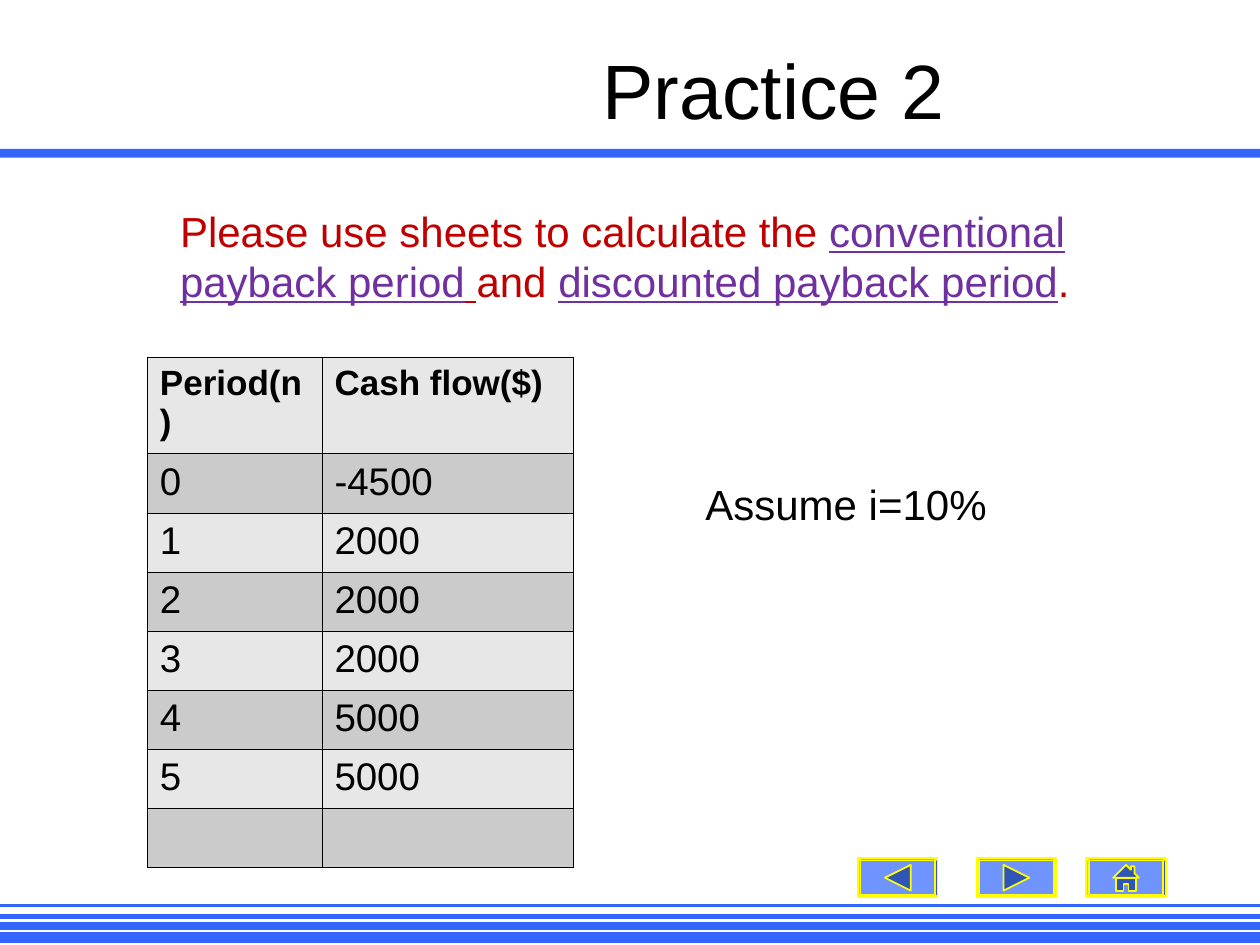
from lxml import etree
from pptx import Presentation
from pptx.dml.color import RGBColor
from pptx.enum.shapes import MSO_CONNECTOR, MSO_SHAPE
from pptx.enum.text import MSO_ANCHOR as ANCHOR, PP_ALIGN as ALIGN
from pptx.oxml import parse_xml
from pptx.oxml.ns import nsdecls, qn
from pptx.util import Cm, Pt

BLUE = RGBColor(0x33, 0x66, 0xFF)
BUTTON = RGBColor(0x70, 0x94, 0xFF)
ICON = RGBColor(0x2F, 0x55, 0xB8)
YELLOW = RGBColor(0xFF, 0xFF, 0x00)
BLACK = RGBColor(0, 0, 0)
RED = RGBColor(0xC0, 0x00, 0x00)
PURPLE = RGBColor(0x70, 0x30, 0xA0)
LIGHT = RGBColor(0xE7, 0xE7, 0xE7)
GREY = RGBColor(0xCB, 0xCB, 0xCB)

# Icon outlines in cm, measured from the centre of a button
BACK = [[(-0.26, 0), (0.26, -0.26), (0.26, 0.26)]]
NEXT = [[(-0.26, -0.26), (0.26, 0), (-0.26, 0.26)]]
HOME = [
    [(0, -0.26), (0.1, -0.16), (0.1, -0.23), (0.17, -0.23), (0.17, -0.09),
     (0.26, 0), (-0.26, 0)],
    [(-0.2, 0), (0.2, 0), (0.2, 0.27), (0.05, 0.27), (0.05, 0.13),
     (-0.05, 0.13), (-0.05, 0.27), (-0.2, 0.27)],
]


class Deck:
    """Holds the style and the current slide."""
    font = "Arial"

    def __init__(self, prs):
        self.s = prs.slides.add_slide(prs.slide_layouts[6])

    def style(self, font, size, color, bold=False, underline=False):
        font.name, font.size, font.bold = self.font, Pt(size), bold
        font.underline = underline
        font.color.rgb = color

    def paint(self, sp, fill, line=None):
        sp.shadow.inherit = False
        sp.fill.solid()
        sp.fill.fore_color.rgb = fill
        if line is None:
            sp.line.fill.background()
        else:
            sp.line.color.rgb = line
            sp.line.width = Pt(1)

    def bar(self, x, y, w, h):
        sp = self.s.shapes.add_shape(MSO_SHAPE.RECTANGLE, Cm(x), Cm(y), Cm(w), Cm(h))
        self.paint(sp, BLUE)

    def rule(self, y, width):
        line = self.s.shapes.add_connector(
            MSO_CONNECTOR.STRAIGHT, Cm(0), Cm(y), Cm(25.4), Cm(y))
        line.line.color.rgb = BLUE
        line.line.width = Pt(width)
        etree.SubElement(line._element.spPr, qn("a:effectLst"))

    def text(self, x, y, w, h, size, runs, align=ALIGN.LEFT, anchor=ANCHOR.TOP):
        tf = self.s.shapes.add_textbox(Cm(x), Cm(y), Cm(w), Cm(h)).text_frame
        tf.word_wrap = True
        tf.vertical_anchor = anchor
        p = tf.paragraphs[0]
        p.alignment = align
        for words, color, underline in runs:
            r = p.add_run()
            r.text = words
            self.style(r.font, size, color, underline=underline)

    def button(self, x, y, icon):
        w, h = 1.6, 0.79
        sp = self.s.shapes.add_shape(MSO_SHAPE.BEVEL, Cm(x), Cm(y), Cm(w), Cm(h))
        sp.adjustments[0] = 0.06
        self.paint(sp, BUTTON, YELLOW)
        for outline in icon:
            points = [(Cm(x + w / 2 + dx), Cm(y + h / 2 + dy)) for dx, dy in outline]
            builder = self.s.shapes.build_freeform(*points[0])
            builder.add_line_segments(points[1:], close=True)
            self.paint(builder.convert_to_shape(), ICON, YELLOW)

    def table(self, x, y, widths, heights, rows):
        tbl = self.s.shapes.add_table(
            len(rows), len(widths), Cm(x), Cm(y),
            Cm(sum(widths)), Cm(sum(heights))).table
        tbl.first_row = tbl.horz_banding = False
        for col, width in zip(tbl.columns, widths):
            col.width = Cm(width)
        for i, (row, height, values) in enumerate(zip(tbl.rows, heights, rows)):
            row.height = Cm(height)
            for cell, value in zip(row.cells, values):
                cell.text = value
                self.style(cell.text_frame.paragraphs[0].font,
                           22 if i else 20, BLACK, bold=i == 0)
                self.borders(cell)
                cell.fill.solid()
                cell.fill.fore_color.rgb = GREY if i % 2 else LIGHT

    def borders(self, cell):
        tc_pr = cell._tc.get_or_add_tcPr()
        for side in ("lnL", "lnR", "lnT", "lnB"):
            tc_pr.append(parse_xml(
                f'<a:{side} {nsdecls("a")} w="{Pt(0.45)}"><a:solidFill>'
                f'<a:srgbClr val="{BLACK}"/></a:solidFill></a:{side}>'))


def main():
    prs = Presentation()
    prs.slide_width, prs.slide_height = Cm(25.4), Cm(19.05)
    deck = Deck(prs)

    # Header bar and footer rules
    deck.bar(0, 3, 25.4, 0.18)
    for y, width in ((18.9, 6), (18.67, 4.5), (18.47, 3), (18.26, 1.5)):
        deck.rule(y, width)

    # Navigation buttons
    for x, icon in ((17.3, BACK), (19.69, NEXT), (21.9, HOME)):
        deck.button(x, 17.3, icon)

    # Title
    deck.text(4.17, 0.79, 22.86, 2, 44, [("Practice 2", BLACK, False)],
              ALIGN.CENTER, ANCHOR.MIDDLE)

    # Cash flows by period
    flows = ["-4500", "2000", "2000", "2000", "5000", "5000"]
    rows = [("Period(n)", "Cash flow($)")]
    rows += [(str(n), flow) for n, flow in enumerate(flows)]
    rows.append(("", ""))
    deck.table(2.97, 7.2, [3.52, 5.07], [1.94] + [1.19] * 7, rows)

    # Task and assumption
    deck.text(3.38, 4.01, 20.32, 2.29, 24, [
        ("Please use sheets to calculate the ", RED, False),
        ("conventional payback period", PURPLE, True),
        (" ", RED, True),
        ("and ", RED, False),
        ("discounted payback period", PURPLE, True),
        (".", RED, False),
    ])
    deck.text(13.97, 9.53, 8.26, 1.27, 24, [("Assume i=10%", BLACK, False)])

    prs.save("out.pptx")


if __name__ == "__main__":
    main()
